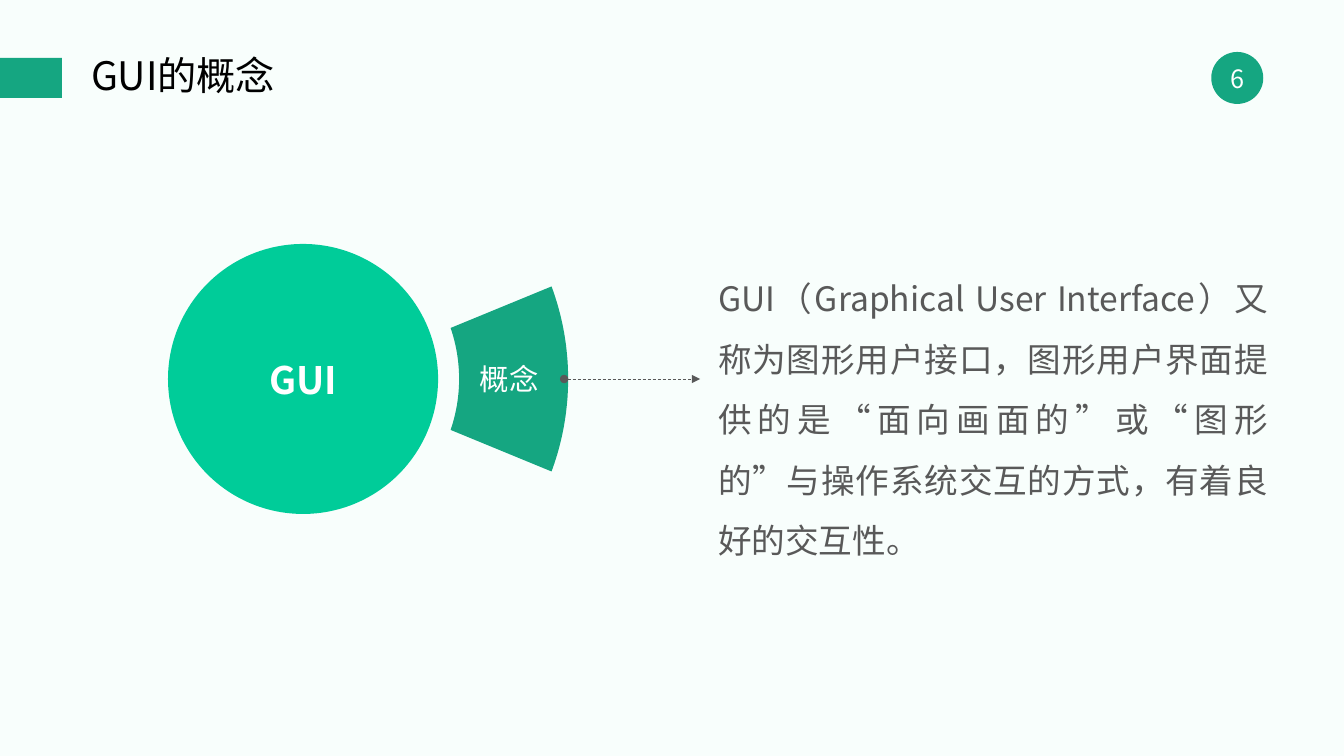
"""Build the slide that explains the concept of a GUI."""
import math

import pptx
import pptx.dml.color
import pptx.enum.dml
import pptx.enum.shapes
import pptx.enum.text
import pptx.oxml.ns
import pptx.util

BACKGROUND = pptx.dml.color.RGBColor(0xF8, 0xFE, 0xFC)
GREEN = pptx.dml.color.RGBColor(0x15, 0xA6, 0x81)
BRIGHT_GREEN = pptx.dml.color.RGBColor(0x00, 0xCC, 0x99)
GREY = pptx.dml.color.RGBColor(0x59, 0x59, 0x59)
WHITE = pptx.dml.color.RGBColor(0xFF, 0xFF, 0xFF)
BLACK = pptx.dml.color.RGBColor(0x00, 0x00, 0x00)

ALIGN = pptx.enum.text.PP_ALIGN
ANCHOR = pptx.enum.text.MSO_ANCHOR
SHAPE = pptx.enum.shapes.MSO_SHAPE


class SlideBuilder:
    """Hold the style and the current slide, and add elements to it."""

    font_name = "Noto Sans CJK SC"
    scale = 914400 / 100.8

    def __init__(self, slide):
        self.slide = slide
        fill = slide.background.fill
        fill.solid()
        fill.fore_color.rgb = BACKGROUND

    def emu(self, *lengths):
        return [round(length * self.scale) for length in lengths]

    def label(self, shape, text, size, color, align, spacing=1.0, bold=False, inset=0):
        frame = shape.text_frame
        frame.word_wrap = True
        frame.vertical_anchor = ANCHOR.MIDDLE
        frame.margin_left, frame.margin_right = self.emu(inset, inset)
        frame.margin_top = frame.margin_bottom = 0
        paragraph = frame.paragraphs[0]
        paragraph.alignment = align
        paragraph.line_spacing = spacing
        paragraph.space_before = pptx.util.Pt(0)
        run = paragraph.add_run()
        run.text = text
        run.font.size = pptx.util.Pt(size)
        run.font.bold = bold
        run.font.color.rgb = color
        run.font.name = self.font_name
        properties = run._r.get_or_add_rPr()
        properties.append(properties.makeelement(
            pptx.oxml.ns.qn("a:ea"), {"typeface": self.font_name}))

    def title(self, box, text):
        shape = self.slide.shapes.title
        shape.left, shape.top, shape.width, shape.height = self.emu(*box)
        self.label(shape, text, 28, BLACK, ALIGN.LEFT, spacing=0.9, inset=10)

    def paint(self, shape, color):
        shape.shadow.inherit = False
        shape.fill.solid()
        shape.fill.fore_color.rgb = color
        shape.line.fill.background()
        return shape

    def shape(self, kind, box, color):
        return self.paint(self.slide.shapes.add_shape(kind, *self.emu(*box)), color)

    def ring_sector(self, center, outer, inner, color):
        points = []
        for (radius, half_angle), direction in ((outer, 1), (inner, -1)):
            for step in range(-20, 21):
                angle = math.radians(half_angle * direction * step / 20)
                points.append(self.emu(center[0] + radius * math.cos(angle),
                                       center[1] + radius * math.sin(angle)))
        builder = self.slide.shapes.build_freeform(*points[0], scale=1.0)
        builder.add_line_segments(points[1:], close=True)
        return self.paint(builder.convert_to_shape(), color)

    def text(self, box, text, size, color, align, spacing):
        shape = self.slide.shapes.add_textbox(*self.emu(*box))
        self.label(shape, text, size, color, align, spacing)
        shape.text_frame.vertical_anchor = ANCHOR.TOP

    def arrow(self, start, end, color):
        connector = self.slide.shapes.add_connector(
            pptx.enum.shapes.MSO_CONNECTOR.STRAIGHT, *self.emu(*start, *end))
        connector.line.color.rgb = color
        connector.line.width = pptx.util.Pt(0.5)
        connector.line.dash_style = pptx.enum.dml.MSO_LINE.DASH
        line = connector.get_or_add_ln()
        for tag, kind in (("a:headEnd", "oval"), ("a:tailEnd", "triangle")):
            line.append(line.makeelement(pptx.oxml.ns.qn(tag), {"type": kind}))
        properties = connector.element.spPr
        properties.append(properties.makeelement(pptx.oxml.ns.qn("a:effectLst")))


def main():
    presentation = pptx.Presentation()
    presentation.slide_width = pptx.util.Inches(13.33)
    presentation.slide_height = pptx.util.Inches(7.5)
    slide = presentation.slides.add_slide(presentation.slide_layouts[5])
    builder = SlideBuilder(slide)

    number = builder.shape(SHAPE.OVAL, (1211, 52, 52, 52), GREEN)
    builder.label(number, "6", 18, WHITE, ALIGN.CENTER)
    builder.shape(SHAPE.RECTANGLE, (0, 58, 62, 40), GREEN)
    builder.title((81, 52, 751, 52), "GUI的概念")

    builder.text((718, 258, 550, 298),
                 "GUI（Graphical User Interface）又称为图形用户接口，图形用户界面"
                 "提供的是“面向画面的”或“图形的”与操作系统交互的方式，有着良好的交互性。",
                 24, GREY, ALIGN.JUSTIFY, 1.5)

    sector = builder.ring_sector((302, 379), (266, 20.35), (157, 18.95), GREEN)
    builder.label(sector, "概念", 21, WHITE, ALIGN.CENTER)
    circle = builder.shape(SHAPE.OVAL, (168, 244, 270, 270), BRIGHT_GREEN)
    builder.label(circle, "GUI", 27, WHITE, ALIGN.CENTER, bold=True)
    builder.arrow((564, 379), (700, 379), GREY)

    presentation.save("out.pptx")


if __name__ == "__main__":
    main()
